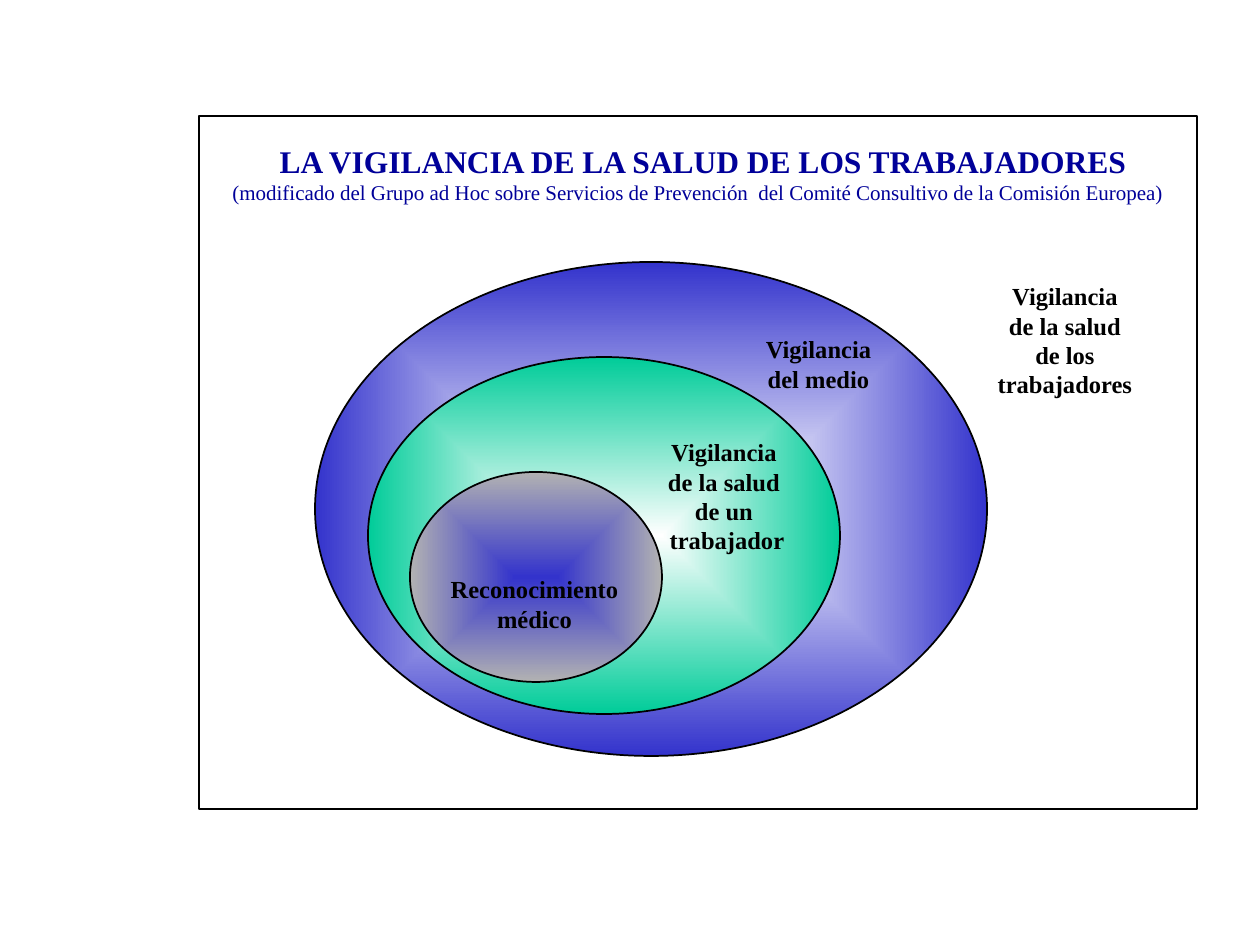
from lxml import etree
from pptx import Presentation
from pptx import util as u
from pptx.dml.color import RGBColor
from pptx.enum import shapes, text
from pptx.oxml.ns import qn

SCALE = 914400 / 126  # EMU per px
FONT = "Times New Roman"
COLORS = {"black": "000000", "navy": "000099", "white": "FFFFFF",
          "blue": "3333CC", "green": "00CC99", "gray": "B2B2B2"}

# Content: boxes are left, top, width, height in px
FRAME = (199, 116, 998, 693)
HEADING_BOX = (220, 136, 966, 76)
HEADING = [
    ("LA VIGILANCIA DE LA SALUD DE LOS TRABAJADORES", 18, True, text.PP_ALIGN.CENTER),
    ("(modificado del Grupo ad Hoc sobre Servicios de Prevención  del Comité "
     "Consultivo de la Comisión Europea)", 12, False, text.PP_ALIGN.LEFT),
]
RINGS = [  # box, centre colour, edge colour
    ((315, 262, 672, 494), "white", "blue"),
    ((368, 357, 472, 357), "white", "green"),
    ((410, 472, 252, 210), "blue", "gray"),
]
LABELS = [
    ((985, 275, 160, 131), ["Vigilancia", "de la salud", "de los", "trabajadores"]),
    ((753, 328, 131, 72), ["Vigilancia", "del medio"]),
    ((651, 431, 146, 131), ["Vigilancia", "de la salud", "de un", " trabajador"]),
    ((438, 568, 193, 72), ["Reconocimiento", "médico"]),
]


def emu(box):
    return [u.Emu(round(length * SCALE)) for length in box]


def color(name):
    return RGBColor.from_string(COLORS[name])


def add_outline(page, kind, box, width):
    shape = page.shapes.add_shape(kind, *emu(box))
    shape.shadow.inherit = False
    shape.fill.background()
    shape.line.color.rgb = color("black")
    shape.line.width = u.Pt(width)
    return shape


def fill_from_centre(shape, centre, edge):
    shape.fill.gradient()
    for stop, name, position in zip(shape.fill.gradient_stops, (centre, edge), (0, 1)):
        stop.color.rgb = color(name)
        stop.position = position
    linear = shape.element.spPr.find(qn("a:gradFill")).find(qn("a:lin"))
    path = etree.Element(qn("a:path"), path="rect")
    etree.SubElement(path, qn("a:fillToRect"), l="50000", t="50000", r="50000", b="50000")
    linear.getparent().replace(linear, path)


def add_text(page, box, lines, ink, wrap):
    frame = page.shapes.add_textbox(*emu(box)).text_frame
    frame.word_wrap = wrap
    frame.auto_size = text.MSO_AUTO_SIZE.SHAPE_TO_FIT_TEXT
    for index, (words, size, bold, align) in enumerate(lines):
        para = frame.add_paragraph() if index else frame.paragraphs[0]
        para.alignment = align
        span = para.add_run()
        span.text = words
        span.font.name = FONT
        span.font.size = u.Pt(size)
        span.font.bold = bold
        span.font.color.rgb = color(ink)


deck = Presentation()
deck.slide_width, deck.slide_height = u.Inches(10), u.Inches(7.5)
page = deck.slides.add_slide(deck.slide_layouts[6])

# Frame and heading
add_outline(page, shapes.MSO_SHAPE.RECTANGLE, FRAME, 1.5)
add_text(page, HEADING_BOX, HEADING, "navy", True)

# Nested ellipses, largest first
for box, centre, edge in RINGS:
    ring = add_outline(page, shapes.MSO_SHAPE.OVAL, box, 1)
    fill_from_centre(ring, centre, edge)

# Labels
for box, lines in LABELS:
    styled = [(words, 14, True, text.PP_ALIGN.CENTER) for words in lines]
    add_text(page, box, styled, "black", False)

deck.save("out.pptx")
